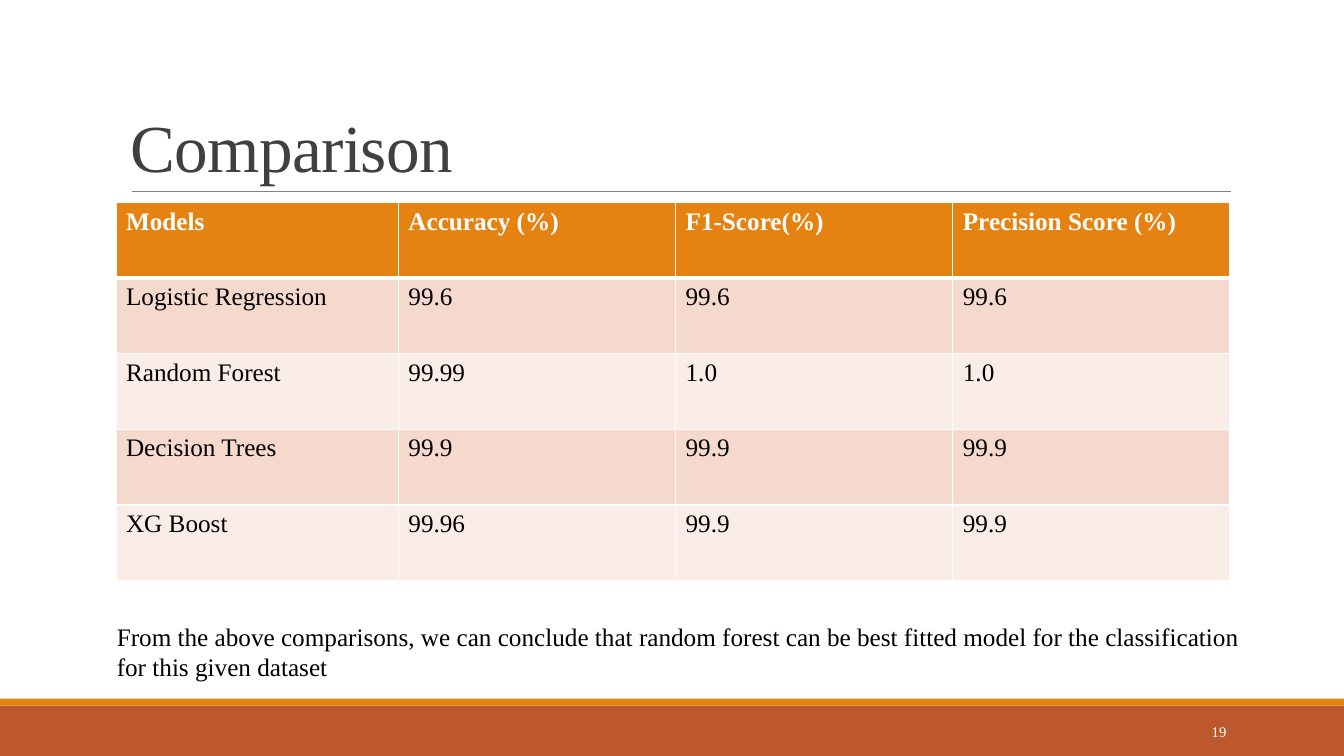
from dataclasses import dataclass

from lxml import etree
from pptx import Presentation
from pptx import util as u
from pptx.dml.color import RGBColor
from pptx.enum import shapes, text
from pptx.oxml import ns

FONT = "Times New Roman"
WHITE, BLACK = "FFFFFF", "000000"
RUST, ORANGE = "BD582C", "E48312"
BAND_COLOURS = ("F5D9CC", "FAEDE7")
SLIDE_WIDTH, SLIDE_HEIGHT = u.Inches(13.33), u.Inches(7.5)
COLUMN_SHARES = (21.01, 20.63, 20.63, 20.63)
ROW_SHARE = 10
SCORES = (
    ("Models", "Accuracy (%)", "F1-Score(%)", "Precision Score (%)"),
    ("Logistic Regression", "99.6", "99.6", "99.6"),
    ("Random Forest", "99.99", "1.0", "1.0"),
    ("Decision Trees", "99.9", "99.9", "99.9"),
    ("XG Boost", "99.96", "99.9", "99.9"),
)


@dataclass(frozen=True)
class Box:
    """A rectangle in percent of the slide's width and height."""
    left: float
    top: float
    width: float
    height: float

    def lengths(self) -> tuple[int, int, int, int]:
        return across(self.left), down(self.top), across(self.width), down(self.height)


@dataclass(frozen=True)
class Bar:
    box: Box
    colour: str


@dataclass(frozen=True)
class Label:
    box: Box
    words: str
    size: float
    colour: str
    anchor: text.MSO_ANCHOR = text.MSO_ANCHOR.TOP
    align: text.PP_ALIGN = text.PP_ALIGN.LEFT
    line_spacing: float = 1.0
    tracking: int = 0


BARS = (
    Bar(Box(0, 93.33, 100, 6.67), RUST),
    Bar(Box(0, 92.4, 100, 0.93), ORANGE),
)
LABELS = (
    Label(Box(9, 4.13, 82.52, 21.2), "Comparison", 48, "404040",
          anchor=text.MSO_ANCHOR.BOTTOM, line_spacing=0.85, tracking=-50),
    Label(Box(81.25, 94.13, 10.73, 5.33), "19", 10.5, WHITE,
          anchor=text.MSO_ANCHOR.MIDDLE, align=text.PP_ALIGN.RIGHT),
    Label(Box(7.95, 81.47, 85.6, 9.47),
          "From the above comparisons, we can conclude that random forest can be "
          "best fitted model for the classification for this given dataset", 18, BLACK),
)


def across(percent: float) -> int:
    return round(SLIDE_WIDTH * percent / 100)


def down(percent: float) -> int:
    return round(SLIDE_HEIGHT * percent / 100)


def rgb(colour: str) -> RGBColor:
    return RGBColor.from_string(colour)


def format_runs(paragraph, size: float, colour: str, bold: bool = False) -> None:
    for run in paragraph.runs:
        run.font.name = FONT
        run.font.size = u.Pt(size)
        run.font.bold = bold
        run.font.color.rgb = rgb(colour)


def add_bar(slide, bar: Bar) -> None:
    shape = slide.shapes.add_shape(shapes.MSO_SHAPE.RECTANGLE, *bar.box.lengths())
    shape.shadow.inherit = False
    shape.fill.solid()
    shape.fill.fore_color.rgb = rgb(bar.colour)
    shape.line.fill.background()


def add_title_rule(slide) -> None:
    height = down(25.33)
    rule = slide.shapes.add_connector(
        shapes.MSO_CONNECTOR.STRAIGHT, across(9.83), height, across(91.6), height)
    rule.line.color.rgb = rgb("808080")
    rule.line.width = u.Pt(0.5)
    etree.SubElement(rule._element.spPr, ns.qn("a:effectLst"))


def add_label(slide, label: Label) -> None:
    frame = slide.shapes.add_textbox(*label.box.lengths()).text_frame
    frame.word_wrap = True
    frame.vertical_anchor = label.anchor
    frame.text = label.words
    paragraph = frame.paragraphs[0]
    paragraph.alignment = label.align
    paragraph.line_spacing = label.line_spacing
    format_runs(paragraph, label.size, label.colour)
    if label.tracking:
        for run in paragraph.runs:
            run.font._element.set("spc", str(label.tracking))


def set_borders(cell, top: float, bottom: float) -> None:
    """Draw white cell borders, with the top and bottom widths in points."""
    properties = cell._tc.get_or_add_tcPr()
    widths = {"lnL": 1, "lnR": 1, "lnT": top, "lnB": bottom}
    for position, (side, width) in enumerate(widths.items()):
        line = etree.Element(ns.qn(f"a:{side}"), w=str(u.Pt(width)))
        fill = etree.SubElement(line, ns.qn("a:solidFill"))
        etree.SubElement(fill, ns.qn("a:srgbClr"), val=WHITE)
        properties.insert(position, line)


def add_score_table(slide) -> None:
    box = Box(8.63, 26.8, sum(COLUMN_SHARES), ROW_SHARE * len(SCORES))
    table = slide.shapes.add_table(
        len(SCORES), len(COLUMN_SHARES), *box.lengths()).table
    for column, share in zip(table.columns, COLUMN_SHARES):
        column.width = across(share)
    for row_number, (row, values) in enumerate(zip(table.rows, SCORES)):
        row.height = down(ROW_SHARE)
        header = row_number == 0
        fill = ORANGE if header else BAND_COLOURS[(row_number - 1) % 2]
        for cell, value in zip(row.cells, values):
            cell.text_frame.text = value
            format_runs(cell.text_frame.paragraphs[0], 18,
                        WHITE if header else BLACK, header)
            cell.fill.solid()
            cell.fill.fore_color.rgb = rgb(fill)
            set_borders(cell, top=3 if row_number == 1 else 1,
                        bottom=3 if header else 1)


def main() -> None:
    presentation = Presentation()
    presentation.slide_width = SLIDE_WIDTH
    presentation.slide_height = SLIDE_HEIGHT
    slide = presentation.slides.add_slide(presentation.slide_layouts[6])
    for bar in BARS:
        add_bar(slide, bar)
    add_title_rule(slide)
    add_score_table(slide)
    for label in LABELS:
        add_label(slide, label)
    presentation.save("out.pptx")


if __name__ == "__main__":
    main()
